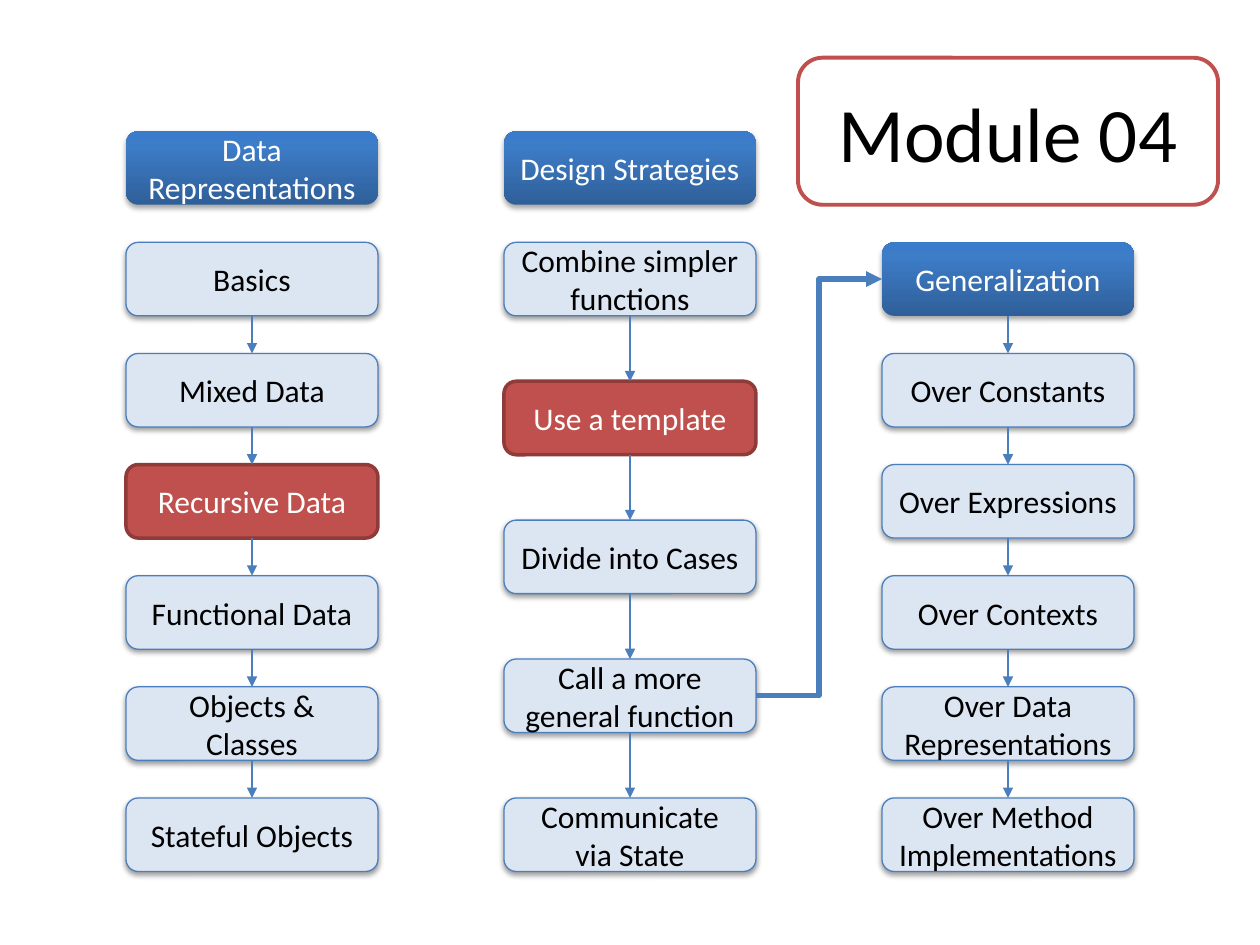
from copy import deepcopy
from dataclasses import dataclass

from lxml import etree
from pptx import Presentation
from pptx.dml.color import RGBColor
from pptx.enum import shapes, text
from pptx.oxml import ns
from pptx.util import Pt


@dataclass(frozen=True)
class Theme:
    font: str = "Calibri"
    label: int = 18
    title: int = 44
    dark: str = "000000"
    light: str = "FFFFFF"
    blue: str = "4B7EBC"
    pale: str = "DCE6F2"
    red: str = "C0504D"
    deep_red: str = "8E3B39"
    gradient: tuple = ((0, "2F5F99"), (0.8, "3D7CC7"), (1, "3A7CCB"))


T = Theme()
BOX_W, BOX_H = 144, 42
HEADER_TOP, TOP, BOTTOM = 75, 138.5, 456  # tops of header, first and last rows

# Node styles: fill, line colour, line width, text colour, shadow (opacity, distance)
STYLES = {
    "header": (T.gradient, None, 0, T.light, (35, 1.8)),
    "topic": (T.pale, T.blue, 0.75, T.dark, (38, 1.6)),
    "current": (T.red, T.deep_red, 2, T.light, None),
    "title": (None, T.red, 2.25, T.dark, None),
}


def rgb(value):
    return RGBColor.from_string(value)


def add_effects(spPr, shadow=None):
    effects = spPr.find(ns.qn("a:effectLst"))
    if effects is None:
        effects = etree.SubElement(spPr, ns.qn("a:effectLst"))
    if shadow:
        opacity, distance = shadow
        outer = etree.SubElement(
            effects, ns.qn("a:outerShdw"), blurRad=str(Pt(3.1)),
            dist=str(Pt(distance)), dir="5400000", rotWithShape="0")
        colour = etree.SubElement(outer, ns.qn("a:srgbClr"), val=T.dark)
        etree.SubElement(colour, ns.qn("a:alpha"), val=str(opacity * 1000))


def fill_gradient(s, stops):
    s.fill.gradient()
    s.fill.gradient_angle = 90
    stop_list = s._element.spPr.find(".//" + ns.qn("a:gsLst"))
    while len(stop_list) < len(stops):
        stop_list.append(deepcopy(stop_list[0]))
    for stop, (position, colour) in zip(s.fill.gradient_stops, stops):
        stop.position = position
        stop.color.rgb = rgb(colour)


def add_node(slide, box, label, style, size=T.label):
    fill, line, width, ink, shadow = STYLES[style]
    s = slide.shapes.add_shape(shapes.MSO_SHAPE.ROUNDED_RECTANGLE, *map(Pt, box))
    s.shadow.inherit = False
    if fill is None:
        s.fill.background()
    elif isinstance(fill, tuple):
        fill_gradient(s, fill)
    else:
        s.fill.solid()
        s.fill.fore_color.rgb = rgb(fill)
    if line:
        s.line.color.rgb = rgb(line)
        s.line.width = Pt(width)
    else:
        s.line.fill.background()
    add_effects(s._element.spPr, shadow)

    tf = s.text_frame
    tf.word_wrap = True
    tf.vertical_anchor = text.MSO_ANCHOR.MIDDLE
    p = tf.paragraphs[0]
    p.alignment = text.PP_ALIGN.CENTER
    r = p.add_run()
    r.text = label
    r.font.name = T.font
    r.font.size = Pt(size)
    r.font.color.rgb = rgb(ink)
    return s


def add_arrow(slide, start, start_side, end, end_side, width=0.75,
              kind=shapes.MSO_CONNECTOR.STRAIGHT):
    c = slide.shapes.add_connector(kind, 0, 0, 0, 0)
    c.begin_connect(start, start_side)
    c.end_connect(end, end_side)
    c.line.color.rgb = rgb(T.blue)
    c.line.width = Pt(width)
    etree.SubElement(c.line._get_or_add_ln(), ns.qn("a:tailEnd"), type="triangle")
    add_effects(c._element.spPr)


def add_chain(slide, box, labels, current=None, first_style="topic"):
    """Spread nodes evenly down the box and join each to the next."""
    left, top, width, height = box
    pitch = (height - BOX_H) / (len(labels) - 1)
    nodes = []
    for i, label in enumerate(labels):
        style = first_style if i == 0 else "current" if label == current else "topic"
        nodes.append(add_node(slide, (left, top + i * pitch, width, BOX_H), label, style))
    for upper, lower in zip(nodes, nodes[1:]):
        add_arrow(slide, upper, 2, lower, 0)
    return nodes


def main():
    prs = Presentation()
    prs.slide_width, prs.slide_height = Pt(720), Pt(540)
    slide = prs.slides.add_slide(prs.slide_layouts[6])
    data_x, design_x, general_x = 72, 288, 504

    def column(left):
        return left, TOP, BOX_W, BOTTOM + BOX_H - TOP

    # Column headers
    for left, label in ((data_x, "Data Representations"),
                        (design_x, "Design Strategies")):
        add_node(slide, (left, HEADER_TOP, BOX_W, BOX_H), label, "header")

    # Topic chains
    add_chain(slide, column(data_x),
              ["Basics", "Mixed Data", "Recursive Data", "Functional Data",
               "Objects & Classes", "Stateful Objects"], current="Recursive Data")
    design = add_chain(slide, column(design_x),
                       ["Combine simpler functions", "Use a template",
                        "Divide into Cases", "Call a more general function",
                        "Communicate via State"], current="Use a template")
    general = add_chain(slide, column(general_x),
                        ["Generalization", "Over Constants", "Over Expressions",
                         "Over Contexts", "Over Data Representations",
                         "Over Method Implementations"], first_style="header")

    # Link from design strategies to generalization
    add_arrow(slide, design[3], 3, general[0], 1, width=3,
              kind=shapes.MSO_CONNECTOR.ELBOW)

    # Module title
    add_node(slide, (456, 33, 240, 84), "Module 04", "title", T.title)

    prs.save("out.pptx")


if __name__ == "__main__":
    main()
